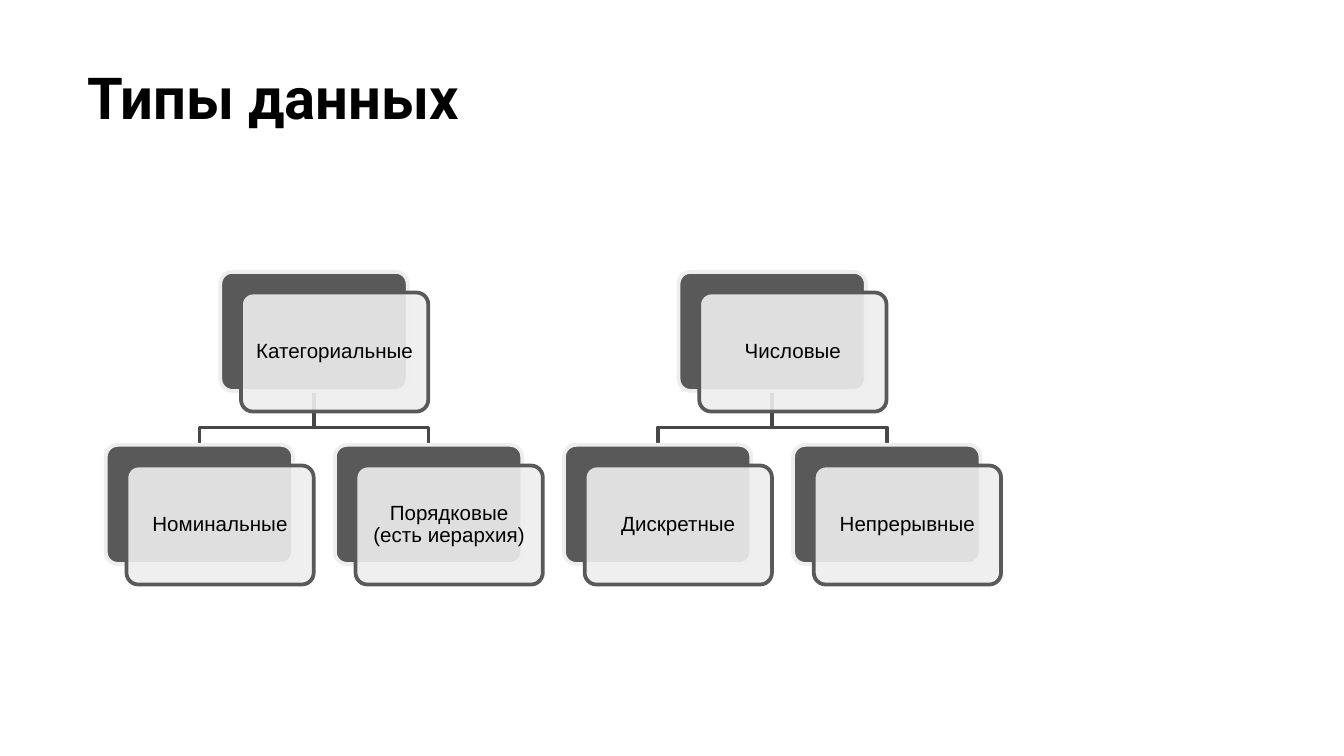
from lxml.etree import SubElement
from pptx import Presentation
from pptx.dml.color import RGBColor
from pptx.enum.shapes import MSO_SHAPE
from pptx.enum.text import MSO_ANCHOR as ANCHOR, PP_ALIGN as ALIGN
from pptx.oxml.ns import qn
from pptx.util import Cm, Pt


def paint(fmt, color):
    fmt.solid()
    fmt.fore_color.rgb = RGBColor.from_string(color)


def add_run(p, text, font, size, bold=False):
    r = p.add_run()
    r.text = text
    r.font.name, r.font.size, r.font.bold = font, Pt(size), bold
    paint(r.font.fill, "000000")


prs = Presentation()
prs.slide_width, prs.slide_height = Cm(25.4), Cm(14.29)
s = prs.slides.add_slide(prs.slide_layouts[6])

# Title
tf = s.shapes.add_textbox(Cm(1.4), Cm(0.91), Cm(23.67), Cm(3.05)).text_frame
tf.word_wrap = True
tf.margin_left = tf.margin_right = tf.margin_top = tf.margin_bottom = Cm(0.25)
add_run(tf.paragraphs[0], "Типы данных", "Roboto", 31, True)

# Tree layout in cm: children sit on an even grid, parents above their middle
trees = [
    ("Категориальные", ["Номинальные", "Порядковые (есть иерархия)"]),
    ("Числовые", ["Дискретные", "Непрерывные"]),
]
LEFT, PITCH = 2.0, 4.33
CARD_W, CARD_H, SHIFT = 3.54, 2.25, 0.39
PARENT_Y, CHILD_Y, ELBOW_Y = 5.14, 8.41, 8.08

cards, links = [], []
for i, (parent, children) in enumerate(trees):
    first_x = LEFT + 2 * i * PITCH
    parent_x = first_x + PITCH / 2
    cards.append((parent, parent_x, PARENT_Y))
    for j, child in enumerate(children):
        child_x = first_x + j * PITCH
        cards.append((child, child_x, CHILD_Y))
        links.append((parent_x + CARD_W / 2, child_x + CARD_W / 2))

# Elbow links, behind the cards
for x1, x2 in links:
    fb = s.shapes.build_freeform(Cm(x1), Cm(PARENT_Y + CARD_H))
    corners = [(x1, ELBOW_Y), (x2, ELBOW_Y), (x2, CHILD_Y)]
    fb.add_line_segments([(Cm(x), Cm(y)) for x, y in corners], close=False)
    sp = fb.convert_to_shape()
    sp.shadow.inherit = False
    sp.fill.background()
    paint(sp.line.fill, "474747")
    sp.line.width = Pt(2)

# Cards: a dark plate and a translucent labelled plate in front of it
for label, x, y in cards:
    for shift, fill, line in [(0, "595959", "EEEEEE"), (SHIFT, "EEEEEE", "595959")]:
        sp = s.shapes.add_shape(MSO_SHAPE.ROUNDED_RECTANGLE, Cm(x + shift),
                                Cm(y + shift), Cm(CARD_W), Cm(CARD_H))
        sp.adjustments[0] = 0.1
        sp.shadow.inherit = False
        paint(sp.fill, fill)
        paint(sp.line.fill, line)
        sp.line.width = Pt(2)

    # The front plate is 90 % opaque and carries the label
    clr = sp.fill._xPr.find(qn("a:solidFill"))[0]
    SubElement(clr, qn("a:alpha"), val="90000")
    tf = sp.text_frame
    tf.word_wrap = True
    tf.vertical_anchor = ANCHOR.MIDDLE
    tf.margin_left = tf.margin_right = tf.margin_top = tf.margin_bottom = Cm(0.12)
    p = tf.paragraphs[0]
    p.alignment = ALIGN.CENTER
    p.line_spacing = 0.9
    add_run(p, label, "Arial", 11)

prs.save("out.pptx")
